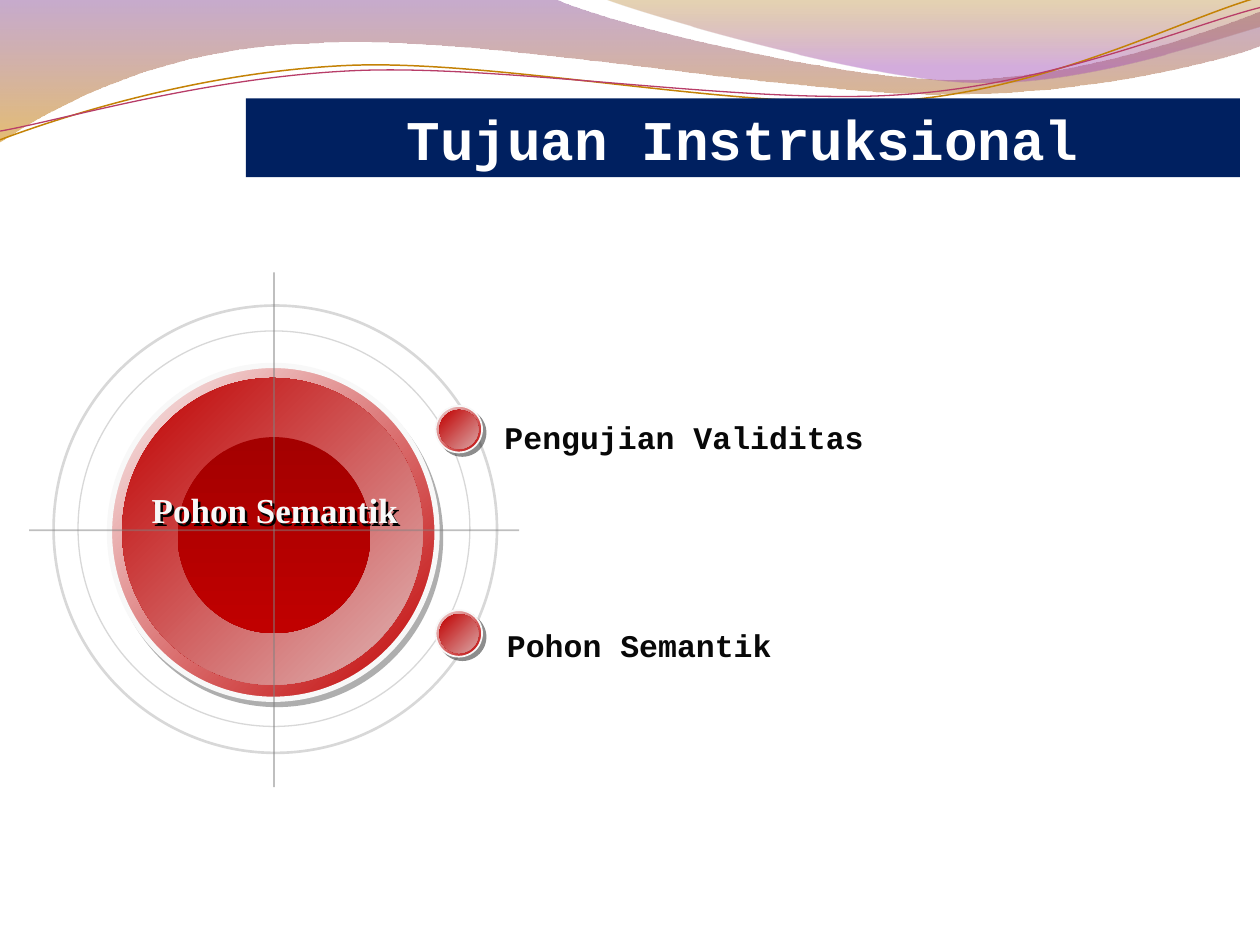
import pptx
import pptx.util
import pptx.dml.color
import pptx.enum.shapes
import pptx.enum.text
import pptx.oxml.ns
from dataclasses import dataclass
from lxml import etree

Pt = pptx.util.Pt
qn = pptx.oxml.ns.qn
SHAPE = pptx.enum.shapes.MSO_SHAPE
ALIGN = pptx.enum.text.PP_ALIGN
ANCHOR = pptx.enum.text.MSO_ANCHOR


@dataclass(frozen=True)
class Theme:
    # Colours
    navy: str = "002060"
    white: str = "FFFFFF"
    ink: str = "080808"
    pale: str = "F8F8F8"
    orbit: str = "B2B2B2"
    axis: str = "808080"
    red: str = "C00000"
    gold: str = "C48205"
    rose: str = "B83D68"
    # Type
    mono: str = "Courier New"
    serif: str = "Times New Roman"
    title_size: int = 32
    core_size: int = 20
    item_size: int = 18


T = Theme()

# Outlines in points: a pair is a straight step, six numbers are a Bezier curve
WAVE_BACK = [(0, 0), (316.8, -0.7),
             (342.7, 12.2, 478.1, 45.4, 545.8, 45.4),
             (614.2, 45.4, 689.8, 18.7, 720, 6.5), (720.7, 25.9),
             (707.8, 31.7, 626.4, 54.7, 537.1, 54),
             (447.8, 54, 275, 20.2, 185, 24.5),
             (92.9, 25.9, 33.1, 59.8, -0.7, 81.4), (0, 0)]
WAVE_FRONT = [(344.9, -0.7),
              (366.5, 7.9, 491, 44.6, 553.7, 46.8),
              (616.3, 49.7, 691.9, 23, 720, 15.1), (720, 0), (344.9, -0.7)]
GOLD_STRAND = [(0, 79.9),
               (34.6, 67, 113.8, 41, 199.4, 37.4),
               (284.4, 33.8, 427, 64.1, 513.4, 57.6),
               (599.8, 51.1, 675.4, 10.8, 718.6, -1.4)]
ROSE_STRAND = [(0, 74.9),
               (33.8, 69.1, 118.1, 43.9, 203.8, 40.3),
               (290.2, 36.7, 429.8, 60.5, 516.2, 54),
               (601.9, 48.2, 677.5, 15.1, 720, 4.3)]


def rgb(value):
    return pptx.dml.color.RGBColor.from_string(value)


def modify(parent, name, percent):
    """Apply alpha, tint or shade to every colour below parent."""
    for clr in parent.iter(qn("a:srgbClr")):
        etree.SubElement(clr, qn("a:" + name), val=str(percent * 1000))


def add_shadow(sp, color, opacity, dist, angle):
    sp_pr = sp._element.spPr
    effects = sp_pr.find(qn("a:effectLst"))
    if effects is None:
        effects = etree.SubElement(sp_pr, qn("a:effectLst"))
    shadow = etree.SubElement(effects, qn("a:outerShdw"), blurRad="0",
                              dist=str(Pt(dist)), dir=str(angle * 60000),
                              algn="ctr", rotWithShape="0")
    etree.SubElement(shadow, qn("a:srgbClr"), val=color)
    modify(shadow, "alpha", opacity)


def style_line(line, color, width, opacity=100):
    line.color.rgb = rgb(color)
    line.width = Pt(width)
    if opacity < 100:
        modify(line._ln, "alpha", opacity)


def style_shape(sp, fill=None, gradient=None, angle=45, line=None, shadow=None):
    """gradient holds (position, colour, modifier...) stops; angle is clockwise."""
    sp.shadow.inherit = False
    if shadow:
        add_shadow(sp, *shadow)
    if gradient:
        sp.fill.gradient()
        sp.fill.gradient_angle = 360 - angle
        for stop, (position, color, *modifier) in zip(sp.fill.gradient_stops, gradient):
            stop.position = position
            stop.color.rgb = rgb(color)
            if modifier:
                modify(stop._gs, *modifier)
    elif fill:
        sp.fill.solid()
        sp.fill.fore_color.rgb = rgb(fill)
    else:
        sp.fill.background()
    if line:
        style_line(sp.line, *line)
    else:
        sp.line.fill.background()


def add_preset(s, kind, box, **style):
    sp = s.shapes.add_shape(kind, *map(Pt, box))
    style_shape(sp, **style)
    return sp


def add_disc(s, box, start=(), end=(), **style):
    """A red disc; start and end change the red at either side."""
    add_preset(s, SHAPE.OVAL, box,
               gradient=[(0, T.red, *start), (1, T.red, *end)], **style)


def add_outline(s, outline, **style):
    nodes = [(Pt(part[-2]), Pt(part[-1])) for part in outline]
    builder = s.shapes.build_freeform(*nodes[0])
    builder.add_line_segments(nodes[1:], close=nodes[0] == nodes[-1])
    sp = builder.convert_to_shape()
    # Turn the straight steps that stand for curves into Bezier segments
    steps = list(sp._element.iter(qn("a:lnTo")))
    for step, part in zip(steps, outline[1:]):
        if len(part) == 6:
            step.tag = qn("a:cubicBezTo")
            for i in (0, 2):
                control = etree.Element(qn("a:pt"), x=str(Pt(part[i]) - sp.left),
                                        y=str(Pt(part[i + 1]) - sp.top))
                step.insert(i // 2, control)
    style_shape(sp, **style)


def add_axis(s, x1, y1, x2, y2):
    line = s.shapes.add_connector(pptx.enum.shapes.MSO_CONNECTOR.STRAIGHT,
                                  Pt(x1), Pt(y1), Pt(x2), Pt(y2))
    style_line(line.line, T.axis, 1, 50)
    etree.SubElement(line._element.spPr, qn("a:effectLst"))


def write(sp, text, size, font, color, align=ALIGN.LEFT, anchor=ANCHOR.TOP, grow=False):
    tf = sp.text_frame
    tf.word_wrap = True
    tf.vertical_anchor = anchor
    if grow:
        tf.auto_size = pptx.enum.text.MSO_AUTO_SIZE.SHAPE_TO_FIT_TEXT
    p = tf.paragraphs[0]
    p.alignment = align
    r = p.add_run()
    r.text = text
    r.font.size, r.font.name, r.font.bold = Pt(size), font, True
    r.font.color.rgb = rgb(color)


def add_label(s, box, text, *args, **style):
    sp = s.shapes.add_textbox(*map(Pt, box))
    write(sp, text, *args, grow=True, **style)
    return sp


def add_item(s, top, label_box, text):
    """A small red ball on the orbit with its label."""
    add_disc(s, (248.9, top, 26.6, 26.6), start=("tint", 28),
             line=(T.pale, 1), shadow=("1C1C1C", 50, 2.8, 45))
    add_disc(s, (251.1, top + 2.2, 22.3, 22.3), end=("tint", 63))
    add_label(s, label_box, text, T.item_size, T.mono, T.ink)


def main():
    prs = pptx.Presentation()
    prs.slide_width, prs.slide_height = Pt(720), Pt(540)
    s = prs.slides.add_slide(prs.slide_layouts[6])

    # Waves along the top
    add_outline(s, WAVE_BACK, angle=90,
                gradient=[(0, "834591", "alpha", 45), (1, "CF8700", "alpha", 55)])
    add_outline(s, WAVE_FRONT, angle=90,
                gradient=[(0, "A96E00", "alpha", 30), (0.8, "A14BB4", "alpha", 45)])
    add_outline(s, GOLD_STRAND, line=(T.gold, 0.85))
    add_outline(s, ROSE_STRAND, line=(T.rose, 0.75))

    # Title bar
    bar = add_preset(s, SHAPE.RECTANGLE, (140.6, 56.2, 568, 45), fill=T.navy)
    write(bar, "Tujuan Instruksional", T.title_size, T.mono, T.white,
          align=ALIGN.CENTER, anchor=ANCHOR.MIDDLE)

    # Target: orbits, discs and cross hairs
    add_preset(s, SHAPE.OVAL, (44.6, 189.1, 223.9, 226), line=(T.orbit, 0.75, 50))
    add_disc(s, (62.6, 208.8, 187.2, 190.8), start=("tint", 11),
             line=(T.pale, 3), shadow=("5F5F5F", 50, 3.6, 56))
    add_disc(s, (69.8, 216, 171.8, 175.3), end=("tint", 53))
    add_disc(s, (101.5, 249.8, 110.2, 112), start=("shade", 70), angle=90)
    add_preset(s, SHAPE.OVAL, (30.6, 174.6, 253.4, 255.6), line=(T.orbit, 1.5, 50))
    add_axis(s, 16.6, 303, 296.6, 303)
    add_axis(s, 156.6, 155.7, 156.6, 449.8)

    # Items and the label at the core
    add_item(s, 232, (281.2, 235.4, 388.1, 28.8), "Pengujian Validitas")
    core = add_label(s, (79, 275.8, 156.2, 31.7), "Pohon Semantik", T.core_size,
                     T.serif, T.pale, align=ALIGN.CENTER)
    add_shadow(core, "000000", 100, 2, 45)
    add_item(s, 348.7, (282.6, 354.2, 252, 28.8), "Pohon Semantik")

    prs.save("out.pptx")


if __name__ == "__main__":
    main()
